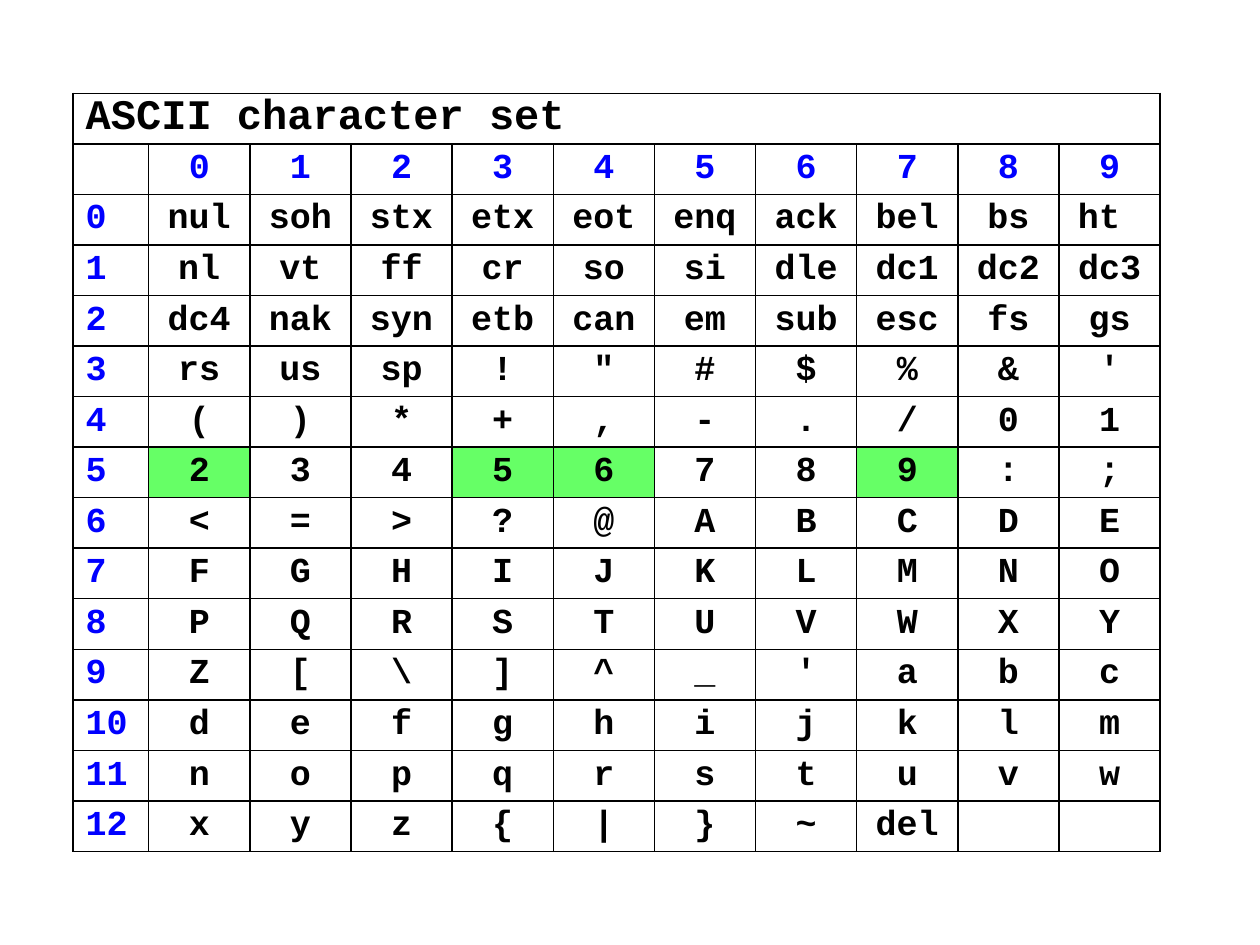
import pptx
import pptx.dml.color
import pptx.enum.text
import pptx.oxml.ns
import pptx.util
from lxml import etree

Inches = pptx.util.Inches
RGBColor = pptx.dml.color.RGBColor

BLACK = RGBColor(0x00, 0x00, 0x00)
BLUE = RGBColor(0x00, 0x00, 0xFF)
GREEN = RGBColor(0x66, 0xFF, 0x66)
FONT = "Courier New"

CONTROL_NAMES = (
    "nul soh stx etx eot enq ack bel bs ht nl vt ff cr so si dle dc1 dc2 dc3 "
    "dc4 nak syn etb can em sub esc fs gs rs us sp"
).split()
SPECIAL_LABELS = {9: "ht ", 19: "dc3 ", 96: "'", 127: "del"}
HIGHLIGHTED_CODES = {50, 53, 54, 57}

LEFT, TOP, WIDTH, HEIGHT = 0.58, 0.74, 8.63, 6.02
LABEL_WIDTH = 0.6
ROWS, COLUMNS = 15, 11


def code_label(code):
    """Return the text shown for one ASCII code."""
    if code in SPECIAL_LABELS:
        return SPECIAL_LABELS[code]
    return CONTROL_NAMES[code] if code < len(CONTROL_NAMES) else chr(code)


def add_borders(cell):
    """Draw a thin black line on every side of a cell."""
    properties = cell._tc.get_or_add_tcPr()
    qn = pptx.oxml.ns.qn
    for side in ("a:lnL", "a:lnR", "a:lnT", "a:lnB"):
        line = etree.SubElement(properties, qn(side), w=str(pptx.util.Pt(1)))
        fill = etree.SubElement(line, qn("a:solidFill"))
        etree.SubElement(fill, qn("a:srgbClr"), val=str(BLACK))


def style_cell(cell, fill=None):
    """Set the borders, margins, anchor and fill of a cell."""
    add_borders(cell)
    cell.margin_left = cell.margin_right = Inches(0.1)
    cell.margin_top = cell.margin_bottom = 0
    cell.vertical_anchor = pptx.enum.text.MSO_ANCHOR.MIDDLE
    if fill is None:
        cell.fill.background()
    else:
        cell.fill.solid()
        cell.fill.fore_color.rgb = fill


def write_cell(cell, text, color=BLACK, size=20, centered=True):
    """Write one bold run into a cell."""
    align = pptx.enum.text.PP_ALIGN
    para = cell.text_frame.paragraphs[0]
    para.alignment = align.CENTER if centered else align.LEFT
    span = para.add_run()
    span.text = text
    span.font.name = FONT
    span.font.size = pptx.util.Pt(size)
    span.font.bold = True
    span.font.color.rgb = color


def add_grid(page):
    """Add the empty table with its column widths and row heights."""
    table = page.shapes.add_table(
        ROWS, COLUMNS, Inches(LEFT), Inches(TOP), Inches(WIDTH), Inches(HEIGHT)
    ).table
    table.first_row = False
    table.horz_banding = False
    for index, column in enumerate(table.columns):
        code_width = (WIDTH - LABEL_WIDTH) / (COLUMNS - 1)
        column.width = Inches(code_width if index else LABEL_WIDTH)
    for row in table.rows:
        row.height = Inches(HEIGHT / ROWS)
    return table


def fill_grid(table):
    """Write the title, the digit labels and the characters."""
    for row in range(ROWS):
        for column in range(COLUMNS):
            code = (row - 2) * 10 + column - 1
            is_code = row > 1 and column > 0
            marked = is_code and code in HIGHLIGHTED_CODES
            cell = table.cell(row, column)
            style_cell(cell, GREEN if marked else None)
            if is_code and code < 128:
                write_cell(cell, code_label(code))
            elif row == 1 and column > 0:
                write_cell(cell, str(column - 1), BLUE)
            elif row > 1 and column == 0:
                write_cell(cell, str(row - 2), BLUE, centered=False)
    title = table.cell(0, 0)
    title.merge(table.cell(0, COLUMNS - 1))
    write_cell(title, "ASCII character set", size=24, centered=False)


def main():
    """Build and save the deck."""
    deck = pptx.Presentation()
    deck.slide_width = Inches(10)
    deck.slide_height = Inches(7.5)
    page = deck.slides.add_slide(deck.slide_layouts[6])
    fill_grid(add_grid(page))
    deck.save("out.pptx")


main()
